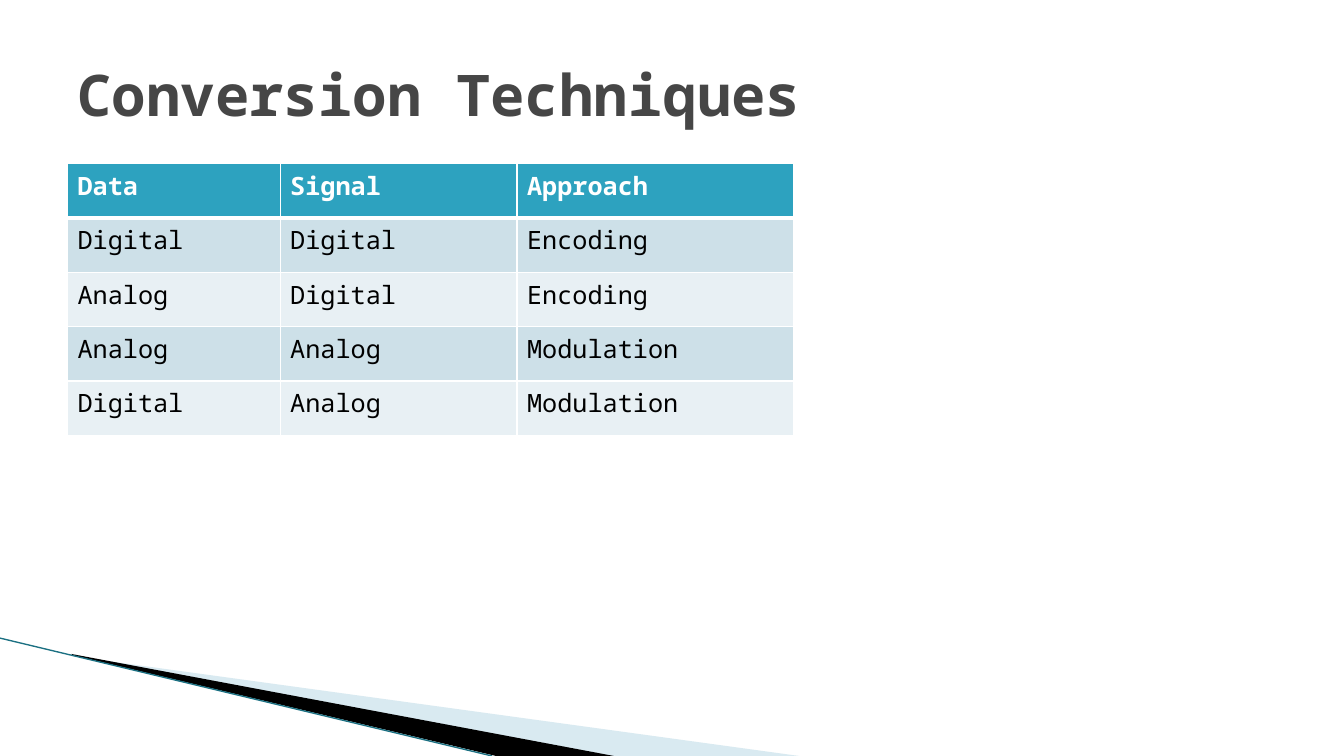
import pptx
import pptx.dml.color
import pptx.enum.shapes
import pptx.enum.text
import pptx.oxml
import pptx.oxml.ns
import pptx.util
from lxml import etree

Cm, Pt = pptx.util.Cm, pptx.util.Pt
RGBColor = pptx.dml.color.RGBColor

# Content
TITLE = "Conversion Techniques"
TECHNIQUES = [
    ("Data", "Signal", "Approach"),
    ("Digital", "Digital", "Encoding"),
    ("Analog", "Digital", "Encoding"),
    ("Analog", "Analog", "Modulation"),
    ("Digital", "Analog", "Modulation"),
]

# Style
FONT = "Noto Sans Mono"
WHITE = RGBColor(0xFF, 0xFF, 0xFF)
BLACK = RGBColor(0x00, 0x00, 0x00)
TITLE_GREY = RGBColor(0x46, 0x46, 0x46)
HEADER_TEAL = RGBColor(0x2D, 0xA2, 0xBF)
BAND_DARK = RGBColor(0xCD, 0xE0, 0xE8)
BAND_LIGHT = RGBColor(0xE8, 0xF0, 0xF4)
WEDGE_BLUE = RGBColor(0xA0, 0xCB, 0xDC)
EDGE_TEAL = RGBColor(0x1B, 0x70, 0x82)

# Layout, in centimetres
WIDTH, HEIGHT = 33.87, 19.05
LEFT = 1.7
TABLE_TOP, ROW_HEIGHT = 4.12, 1.37
COLUMN_WIDTHS = (5.36, 5.97, 6.98)
BLUE_WEDGE = [(1.85, 16.54), (20.14, HEIGHT), (15.44, HEIGHT), (1.85, 16.51)]
BLACK_WEDGE = [(1.8, 16.48), (15.47, HEIGHT), (12.5, HEIGHT), (1.83, 16.51)]
EDGE = [(0, 16.08), (12.4, HEIGHT)]


def add_run(paragraph, text, size, color, bold):
    run = paragraph.add_run()
    run.text = text
    run.font.name = FONT
    run.font.size = Pt(size)
    run.font.bold = bold
    run.font.color.rgb = color


def add_wedge(slide, corners, color, alpha=100):
    points = [(Cm(x), Cm(y)) for x, y in corners]
    outline = slide.shapes.build_freeform(*points[0])
    outline.add_line_segments(points[1:], close=True)
    wedge = outline.convert_to_shape()
    wedge.shadow.inherit = False
    wedge.fill.solid()
    wedge.fill.fore_color.rgb = color
    wedge.line.fill.background()
    if alpha < 100:
        tint = wedge.fill._xPr.find(".//" + pptx.oxml.ns.qn("a:srgbClr"))
        etree.SubElement(tint, pptx.oxml.ns.qn("a:alpha"), val=str(alpha * 1000))


def add_borders(cell, widths):
    properties = cell._tc.get_or_add_tcPr()
    for side, width in widths.items():
        properties.append(pptx.oxml.parse_xml(
            f'<a:ln{side} {pptx.oxml.ns.nsdecls("a")} w="{Pt(width)}">'
            f'<a:solidFill><a:srgbClr val="{WHITE}"/></a:solidFill></a:ln{side}>'))


def main():
    deck = pptx.Presentation()
    deck.slide_width, deck.slide_height = Cm(WIDTH), Cm(HEIGHT)
    slide = deck.slides.add_slide(deck.slide_layouts[6])

    # Corner decoration
    add_wedge(slide, BLUE_WEDGE, WEDGE_BLUE, alpha=40)
    add_wedge(slide, BLACK_WEDGE, BLACK)
    edge = slide.shapes.add_connector(
        pptx.enum.shapes.MSO_CONNECTOR.STRAIGHT,
        *(Cm(length) for point in EDGE for length in point))
    edge.line.color.rgb = EDGE_TEAL
    edge.line.width = Pt(0.95)
    etree.SubElement(edge._element.spPr, pptx.oxml.ns.qn("a:effectLst"))

    # Table of techniques
    techniques = slide.shapes.add_table(
        len(TECHNIQUES), len(COLUMN_WIDTHS), Cm(LEFT), Cm(TABLE_TOP),
        Cm(sum(COLUMN_WIDTHS)), Cm(ROW_HEIGHT * len(TECHNIQUES))).table
    for column, width in zip(techniques.columns, COLUMN_WIDTHS):
        column.width = Cm(width)
    for r, entries in enumerate(TECHNIQUES):
        techniques.rows[r].height = Cm(ROW_HEIGHT)
        header = r == 0
        band = HEADER_TEAL if header else BAND_DARK if r % 2 else BAND_LIGHT
        for c, entry in enumerate(entries):
            cell = techniques.cell(r, c)
            add_borders(cell, {"L": 1, "R": 1, "T": 3 if r == 1 else 1,
                               "B": 3 if header else 1})
            cell.fill.solid()
            cell.fill.fore_color.rgb = band
            add_run(cell.text_frame.paragraphs[0], entry, 18,
                    WHITE if header else BLACK, header)

    # Title
    title = slide.shapes.add_textbox(Cm(LEFT), Cm(0.76), Cm(30.48), Cm(3.18)).text_frame
    title.word_wrap = True
    title.vertical_anchor = pptx.enum.text.MSO_ANCHOR.MIDDLE
    add_run(title.paragraphs[0], TITLE, 41, TITLE_GREY, True)

    deck.save("out.pptx")


if __name__ == "__main__":
    main()
